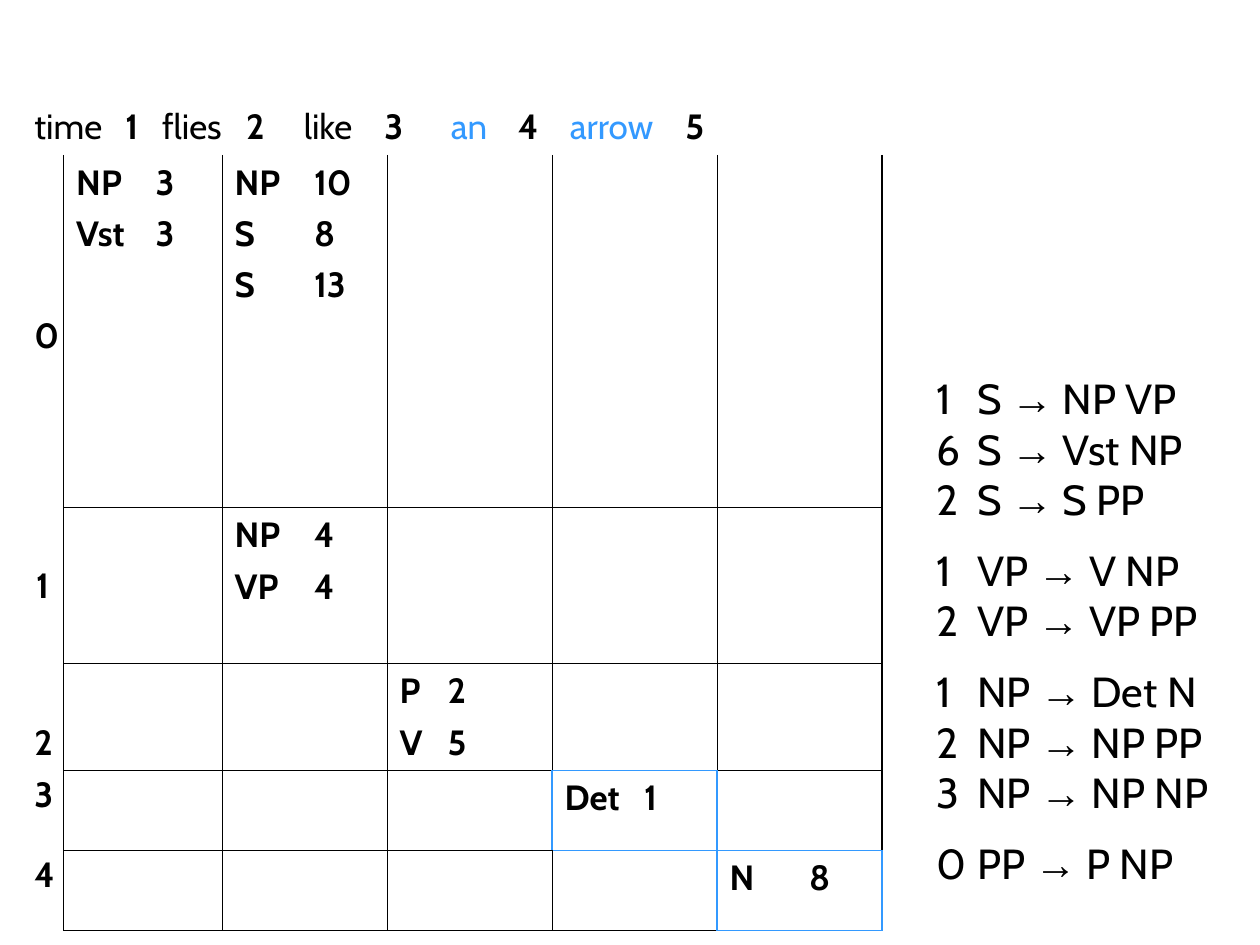
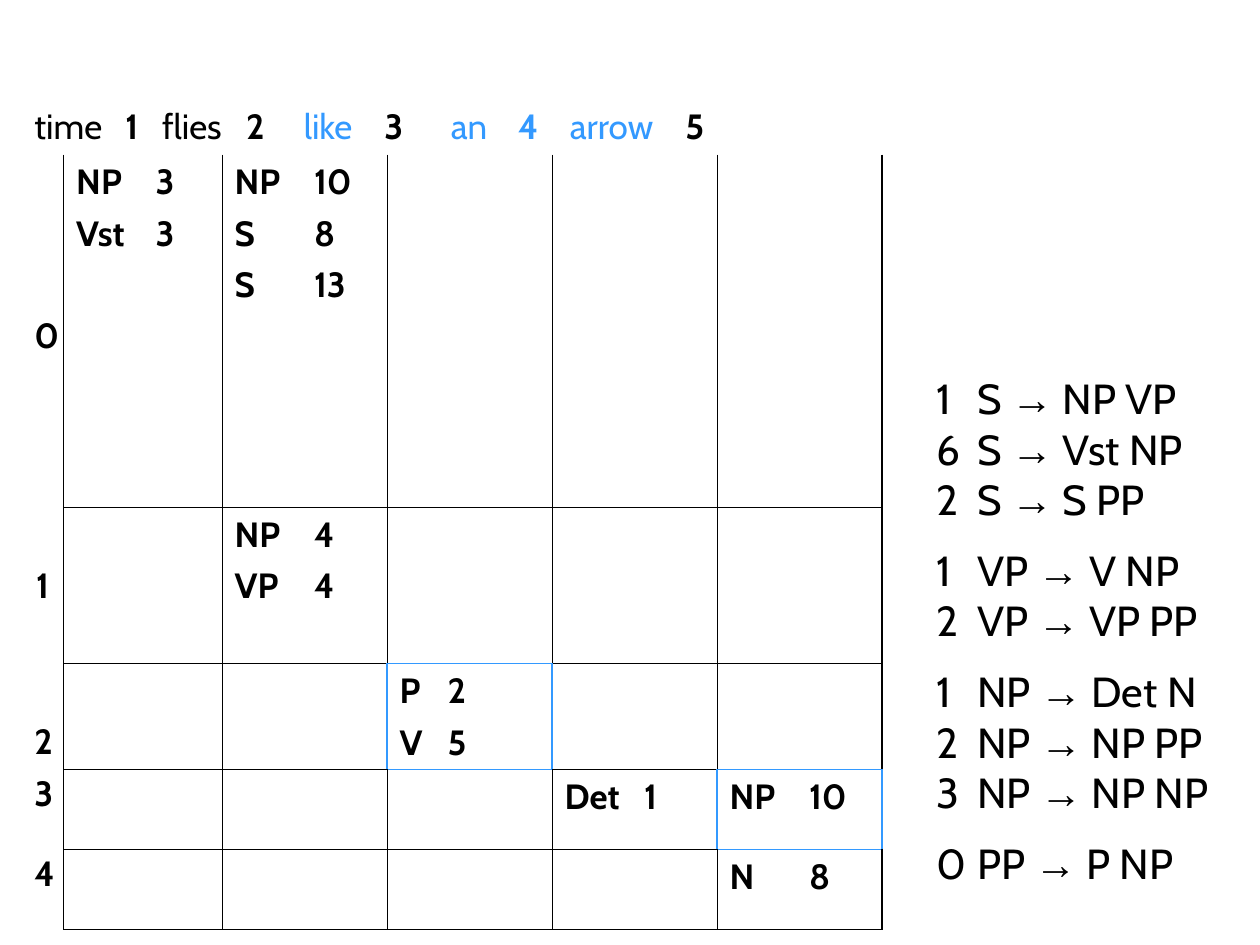
from lxml.etree import SubElement
from pptx import Presentation
from pptx.dml.color import RGBColor
from pptx.enum.text import MSO_ANCHOR, MSO_AUTO_SIZE, PP_ALIGN
from pptx.oxml.ns import qn
from pptx.util import Pt

BLACK, BLUE = "000000", "3399FF"
TEXT_FONT, ARROW_FONT = "Cabin", "Arial"
THIN, THICK = 0.45, 1.08

# Chart geometry, in points
CHART_LEFT, CHART_TOP = 12.4, 56.9
COLUMN_WIDTHS = [24, 90.5] + [94.3] * 4
ROW_HEIGHTS = [31.5, 201.6, 89.2, 60.6, 45.7, 45.7]
LAST = 5
SENTENCE_TABS = [52, 73, 121, 154, 200, 238, 276.5, 306, 372]
SENTENCE = ["time", "1", "flies", "2", "like", "3", "an", "4", "arrow", "5"]
START_LINE_SPACING = [1, 2.2, 2.2, 0.9, 0.9]
WIDE_TAB, NARROW_TAB = 45.4, 27.4

# Entries by (row, column): the lines of category and weight
ENTRIES = {
    (1, 1): ["NP\t3", "Vst\t3"],
    (1, 2): ["NP\t10", "S\t8", "S\t13"],
    (2, 2): ["NP\t4", "VP\t4"],
    (3, 3): ["P\t2", "V\t5"],
    (4, 4): ["Det\t1"],
    (5, 5): ["N\t8"],
}

GRAMMAR = [
    [("1", "S", "NP VP"), ("6", "S", "Vst NP"), ("2", "S", "S PP")],
    [("1", "VP", "V NP"), ("2", "VP", "VP PP")],
    [("1", "NP", "Det N"), ("2", "NP", "NP PP"), ("3", "NP", "NP NP")],
    [("0", "PP", "P NP")],
]

# Each step: new entries, highlighted cells, highlighted words
STEPS = [
    ({}, {(4, 4), (5, 5)}, {"an", "arrow"}),
    ({(4, 5): ["NP\t10"]}, {(3, 3), (4, 5)}, {"like", "an", "4", "arrow"}),
]

# Border tag and the offset of the neighbour that shares the edge
SIDES = {"a:lnL": (0, -1), "a:lnR": (0, 1), "a:lnT": (-1, 0), "a:lnB": (1, 0)}


def colour(hex_string):
    return RGBColor.from_string(hex_string)


def apply(target, values):
    for name, value in values.items():
        setattr(target, name, value)


class ParseSlide:
    """Holds the deck style and the slide being filled."""

    def __init__(self, deck):
        self.slide = deck.slides.add_slide(deck.slide_layouts[6])

    def paragraph(self, frame, first, runs, tabs=(), **spacing):
        """Add a paragraph; runs are (text, font values, colour)."""
        paragraph = frame.paragraphs[0] if first else frame.add_paragraph()
        if tabs:
            stops = SubElement(paragraph._p.get_or_add_pPr(), qn("a:tabLst"))
            for position in tabs:
                SubElement(stops, qn("a:tab"), pos=str(Pt(position)), algn="l")
        apply(paragraph, spacing)
        for text, font_values, ink in runs:
            run = paragraph.add_run()
            run.text = text
            apply(run.font, {"name": TEXT_FONT, "size": Pt(20), **font_values})
            run.font.color.rgb = colour(ink)

    def border(self, cell, tag, line):
        """Draw one cell side; line is (colour, width) or None."""
        side = SubElement(cell._tc.get_or_add_tcPr(), qn(tag))
        if line is None:
            side.set("w", "0")
            SubElement(side, qn("a:noFill"))
            return
        ink, width = line
        side.set("w", str(Pt(width)))
        fill = SubElement(side, qn("a:solidFill"))
        SubElement(fill, qn("a:srgbClr"), val=ink)

    def edge(self, place, tag, highlights):
        """Choose the line for one side of a cell."""
        row, column = place
        down, across = SIDES[tag]
        neighbour = (row + down, column + across)
        if {place, neighbour} & highlights:
            return BLUE, THICK
        if row == 0 or neighbour[0] == 0:
            return None
        if column == 0 and tag != "a:lnR":
            return None
        return BLACK, THICK if max(neighbour) > LAST else THIN

    def chart(self, entries, highlights, blue_words):
        table = self.slide.shapes.add_table(
            len(ROW_HEIGHTS), len(COLUMN_WIDTHS), Pt(CHART_LEFT), Pt(CHART_TOP),
            Pt(sum(COLUMN_WIDTHS)), Pt(sum(ROW_HEIGHTS))).table
        apply(table, {"first_row": False, "horz_banding": False})
        for column, width in zip(table.columns, COLUMN_WIDTHS):
            column.width = Pt(width)
        for row, height in zip(table.rows, ROW_HEIGHTS):
            row.height = Pt(height)

        # Borders come before the fill in the cell properties
        for row in range(LAST + 1):
            for column in range(LAST + 1):
                cell = table.cell(row, column)
                for tag in SIDES:
                    self.border(cell, tag, self.edge((row, column), tag, highlights))
                cell.fill.background()
                apply(cell, {"margin_left": Pt(7.2), "margin_right": Pt(7.2),
                             "margin_top": Pt(3.6), "margin_bottom": Pt(3.6),
                             "vertical_anchor": MSO_ANCHOR.TOP})

        # Sentence with its positions
        table.cell(0, 0).merge(table.cell(0, LAST))
        words = [(("\t" if i else "") + word, {"bold": word.isdigit()},
                  BLUE if word in blue_words else BLACK)
                 for i, word in enumerate(SENTENCE)]
        self.paragraph(table.cell(0, 0).text_frame, True, words, SENTENCE_TABS)

        # Start positions
        for start, line_spacing in enumerate(START_LINE_SPACING):
            self.paragraph(table.cell(start + 1, 0).text_frame, True,
                           [(str(start), {"bold": True}, BLACK)],
                           alignment=PP_ALIGN.CENTER, line_spacing=line_spacing)
        table.cell(1, 0).margin_top = Pt(91.5)

        # Constituents
        for (row, column), lines in entries.items():
            tab = NARROW_TAB if column == 3 else WIDE_TAB
            for i, line in enumerate(lines):
                self.paragraph(table.cell(row, column).text_frame, i == 0,
                               [(line, {"bold": True}, BLACK)], [tab],
                               space_before=Pt(5 if i else 0))

    def grammar(self, groups):
        box = self.slide.shapes.add_textbox(Pt(527.8), Pt(209.5), Pt(192), Pt(301))
        frame = box.text_frame
        apply(frame, {"word_wrap": True, "auto_size": MSO_AUTO_SIZE.SHAPE_TO_FIT_TEXT})
        large = {"size": Pt(24)}
        for g, group in enumerate(groups):
            for i, (weight, parent, children) in enumerate(group):
                runs = [(f"{weight}\t{parent} ", large, BLACK),
                        ("→", {**large, "name": ARROW_FONT}, BLACK),
                        (f" {children}", large, BLACK)]
                opens_group = g > 0 and i == 0
                self.paragraph(frame, g == i == 0, runs, [23.5],
                               space_before=Pt(11.7 if opens_group else 0))


def main():
    deck = Presentation()
    apply(deck, {"slide_width": Pt(720), "slide_height": Pt(540)})
    for new_entries, highlights, blue_words in STEPS:
        step = ParseSlide(deck)
        step.chart({**ENTRIES, **new_entries}, highlights, blue_words)
        step.grammar(GRAMMAR)
    deck.save("out.pptx")


if __name__ == "__main__":
    main()
